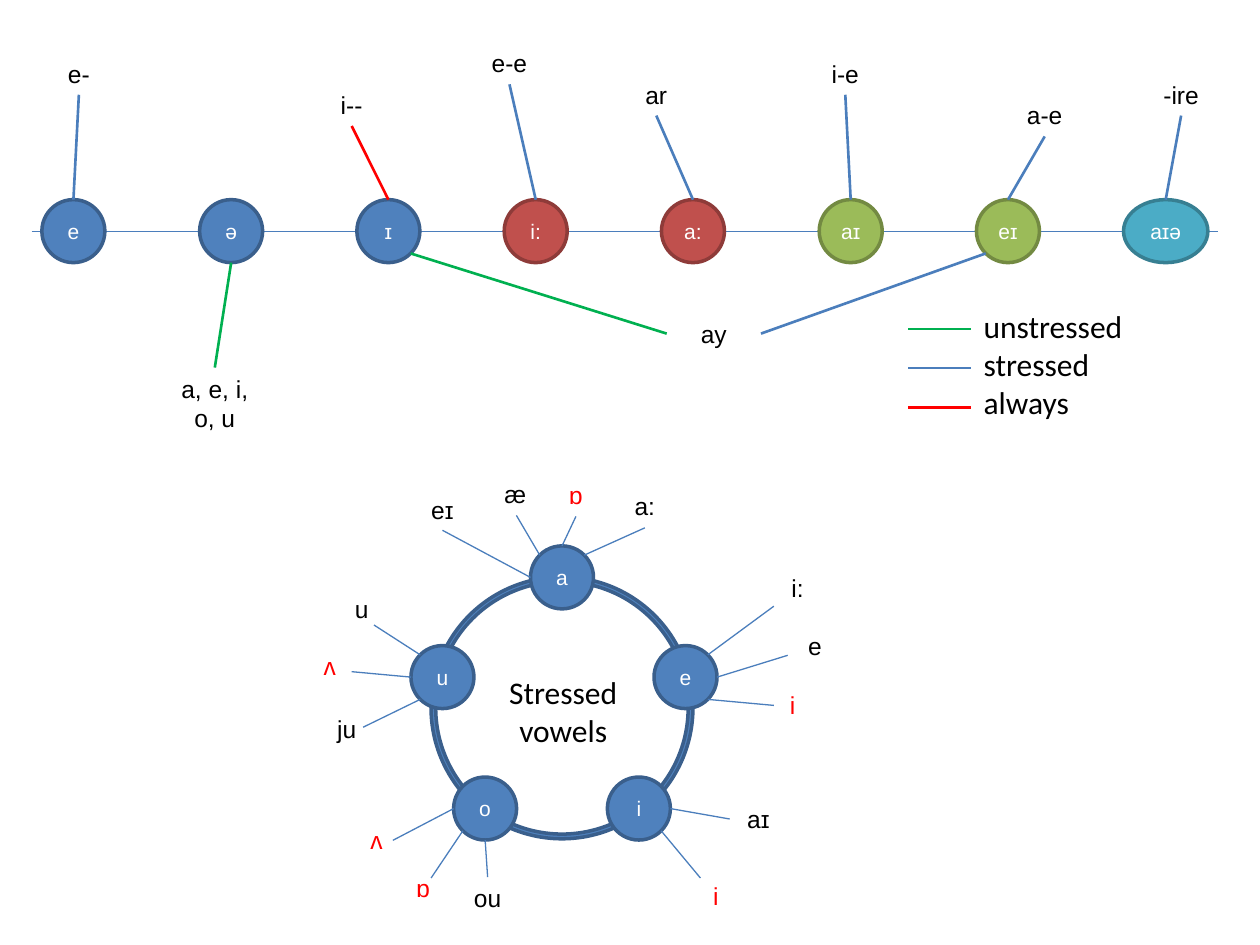
import math

import pptx
import pptx.dml.color
import pptx.enum.shapes
import pptx.enum.text
import pptx.oxml
import pptx.oxml.ns
import pptx.util

Cm = pptx.util.Cm
BLUE, RED, GREEN, TEAL = (
    ("4F81BD", "3A5F8C"), ("C0504D", "8E3B39"), ("9BBB59", "738A42"), ("4BACC6", "377F92"))
STRESSED, UNSTRESSED, ALWAYS = "4B7EBC", "00B050", "FF0000"
BLACK, WHITE = "000000", "FFFFFF"
RADIUS = 0.635
LABEL_HEIGHT = 0.85


def color(text):
    return pptx.dml.color.RGBColor.from_string(text)


def rim(x, y, angle):
    """Point on a node's edge, the angle running clockwise from the right."""
    turn = math.radians(angle)
    return x + RADIUS * math.cos(turn), y + RADIUS * math.sin(turn)


class Diagram:
    def __init__(self, slide):
        self.slide = slide

    def add_lines(self, shape, lines, size, font, hue, align):
        frame = shape.text_frame
        for index, line in enumerate(lines):
            paragraph = frame.add_paragraph() if index else frame.paragraphs[0]
            paragraph.alignment = align
            run = paragraph.add_run()
            run.text = line
            run.font.size = pptx.util.Pt(size)
            run.font.name = font
            run.font.color.rgb = color(hue)

    def outline(self, kind, box, colors):
        shape = self.slide.shapes.add_shape(kind, *map(Cm, box))
        shape.shadow.inherit = False
        shape.fill.solid()
        shape.fill.fore_color.rgb = color(colors[0])
        shape.line.color.rgb = color(colors[1])
        shape.line.width = pptx.util.Pt(2)
        return shape

    def node(self, x, y, text, colors, width=2 * RADIUS):
        box = (x - width / 2, y - RADIUS, width, 2 * RADIUS)
        shape = self.outline(pptx.enum.shapes.MSO_SHAPE.OVAL, box, colors)
        frame = shape.text_frame
        frame.margin_left = frame.margin_right = 0
        frame.vertical_anchor = pptx.enum.text.MSO_ANCHOR.MIDDLE
        self.add_lines(shape, [text], 12, "Arial", WHITE, pptx.enum.text.PP_ALIGN.CENTER)
        return shape

    def text(self, box, lines, size=18, font="Calibri", hue=BLACK,
             align=pptx.enum.text.PP_ALIGN.CENTER):
        shape = self.slide.shapes.add_textbox(*map(Cm, box))
        shape.text_frame.word_wrap = True
        shape.text_frame.auto_size = pptx.enum.text.MSO_AUTO_SIZE.SHAPE_TO_FIT_TEXT
        self.add_lines(shape, lines, size, font, hue, align)
        return shape

    def label(self, x, top, text, hue=BLACK, width=1.9, height=LABEL_HEIGHT):
        return self.text((x - width / 2, top, width, height), [text], 14, "Arial", hue)

    def line(self, start, end, hue=STRESSED, width=1.5):
        connector = self.slide.shapes.add_connector(
            pptx.enum.shapes.MSO_CONNECTOR.STRAIGHT, *map(Cm, (*start, *end)))
        connector.line.color.rgb = color(hue)
        connector.line.width = pptx.util.Pt(width)
        connector._element.spPr.append(
            pptx.oxml.parse_xml("<a:effectLst %s/>" % pptx.oxml.ns.nsdecls("a")))
        return connector


def draw_vowel_row(diagram):
    y = 4.66
    diagram.line((0.64, y), (24.56, y), width=0.75)

    # Node: centre, sound, colours; label above: centre, top, spelling
    row = [
        (1.48, "e", BLUE, (1.59, 1.06, "e-")),
        (4.66, "ə", BLUE, None),
        (7.83, "ɪ", BLUE, (7.09, 1.69, "i--")),
        (10.8, "i:", RED, (10.27, 0.85, "e-e")),
        (13.97, "a:", RED, (13.23, 1.48, "ar")),
        (17.15, "aɪ", GREEN, (17.04, 1.06, "i-e")),
        (20.32, "eɪ", GREEN, (21.06, 1.9, "a-e")),
        (23.5, "aɪə", TEAL, (23.81, 1.48, "-ire")),
    ]
    centers = {}
    for x, sound, colors, spelling in row:
        centers[sound] = x
        node = diagram.node(x, y, sound, colors, 1.7 if sound == "aɪə" else 2 * RADIUS)
        if spelling:
            label = diagram.label(*spelling)
            hue = ALWAYS if sound == "ɪ" else STRESSED
            spoke = diagram.line(
                (spelling[0], spelling[1] + LABEL_HEIGHT), (x, y - RADIUS), hue)
            spoke.begin_connect(label, 2)
            spoke.end_connect(node, 0)

    # Spellings below the row
    schwa = diagram.label(4.33, 7.41, "a, e, i, o, u", height=1.45)
    spoke = diagram.line((4.33, 7.41), rim(centers["ə"], y, 90), UNSTRESSED)
    spoke.begin_connect(schwa, 0)

    ay = diagram.label(14.39, 6.3, "ay")
    for sound, angle, side, end_x, hue in (
            ("eɪ", 135, 3, 15.34, STRESSED), ("ɪ", 45, 1, 13.44, UNSTRESSED)):
        spoke = diagram.line(rim(centers[sound], y, angle), (end_x, 6.73), hue)
        spoke.end_connect(ay, side)


def draw_legend(diagram):
    entries = {"unstressed": UNSTRESSED, "stressed": STRESSED, "always": ALWAYS}
    legend = diagram.text((19.58, 6.05, 4.01, 2.57), entries,
                          align=pptx.enum.text.PP_ALIGN.LEFT)
    legend.text_frame.vertical_anchor = pptx.enum.text.MSO_ANCHOR.MIDDLE
    for index, hue in enumerate(entries.values()):
        y = 6.63 + 0.79 * index
        diagram.line((18.31, y), (19.58, y), hue)


def draw_vowel_ring(diagram):
    ring = diagram.outline(
        pptx.enum.shapes.MSO_SHAPE.DONUT, (8.69, 11.63, 5.28, 5.28), BLUE)
    ring.adjustments[0] = 0.018

    # Vowel, centre, spokes: angle, outer end, label centre and top, sound, colour
    vowels = [
        ("a", (11.33, 11.64), [
            (180, (8.92, 10.69), (8.92, 9.86), "eɪ", BLACK),
            (225, (10.41, 10.39), (10.39, 9.53), "æ", BLACK),
            (270, (11.61, 10.41), (11.61, 9.55), "ɒ", ALWAYS),
            (315, (13, 10.64), (13, 9.78), "a:", BLACK)]),
        ("e", (13.82, 13.65), [
            (315, (15.6, 12.22), (16.08, 11.43), "i:", BLACK),
            (0, (15.88, 13.21), (16.43, 12.6), "e", BLACK),
            (45, (15.6, 14.22), (15.98, 13.79), "i", ALWAYS)]),
        ("i", (12.88, 16.3), [
            (0, (14.71, 16.51), (15.29, 16.08), "aɪ", BLACK),
            (45, (14.12, 17.7), (14.43, 17.63), "i", ALWAYS)]),
        ("o", (9.78, 16.3), [
            (90, (9.83, 17.68), (9.83, 17.68), "ou", BLACK),
            (135, (8.69, 17.7), (8.53, 17.48), "ɒ", ALWAYS),
            (180, (7.92, 16.94), (7.59, 16.51), "ʌ", ALWAYS)]),
        ("u", (8.92, 13.65), [
            (135, (7.32, 14.66), (6.99, 14.27), "ju", BLACK),
            (180, (7.09, 13.54), (6.65, 13), "ʌ", ALWAYS),
            (225, (7.54, 12.6), (7.29, 11.86), "u", BLACK)]),
    ]
    for vowel, center, spokes in vowels:
        diagram.node(*center, vowel, BLUE)
        for angle, end, place, sound, hue in spokes:
            diagram.label(*place, sound, hue, width=1.47)
            diagram.line(rim(*center, angle), end, width=0.75)

    diagram.text((9.73, 13.44, 3.25, 1.8), ["Stressed vowels"])


def main():
    presentation = pptx.Presentation()
    presentation.slide_width = Cm(25.4)
    presentation.slide_height = Cm(19.05)
    diagram = Diagram(presentation.slides.add_slide(presentation.slide_layouts[6]))
    draw_vowel_row(diagram)
    draw_legend(diagram)
    draw_vowel_ring(diagram)
    presentation.save("out.pptx")


if __name__ == "__main__":
    main()
